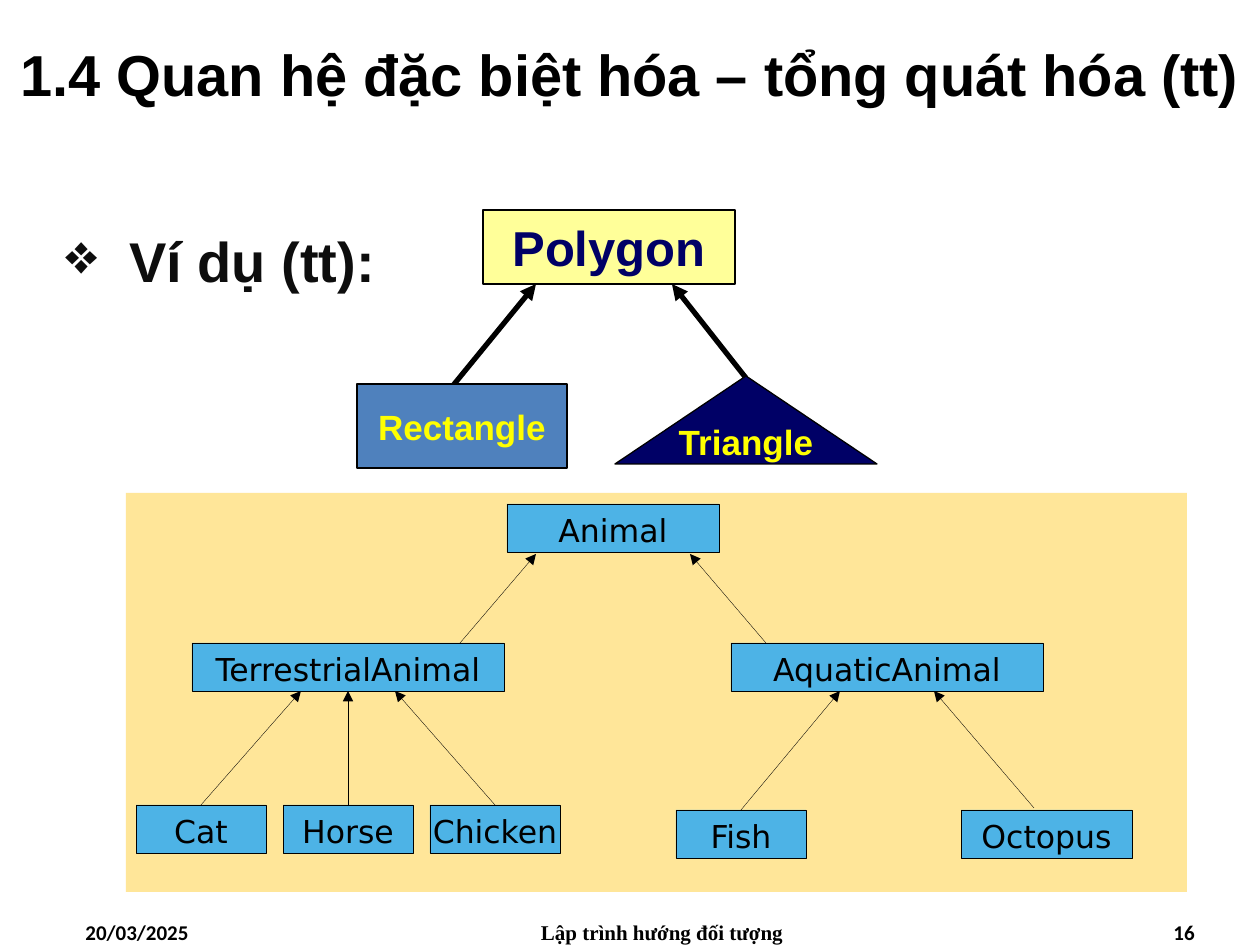
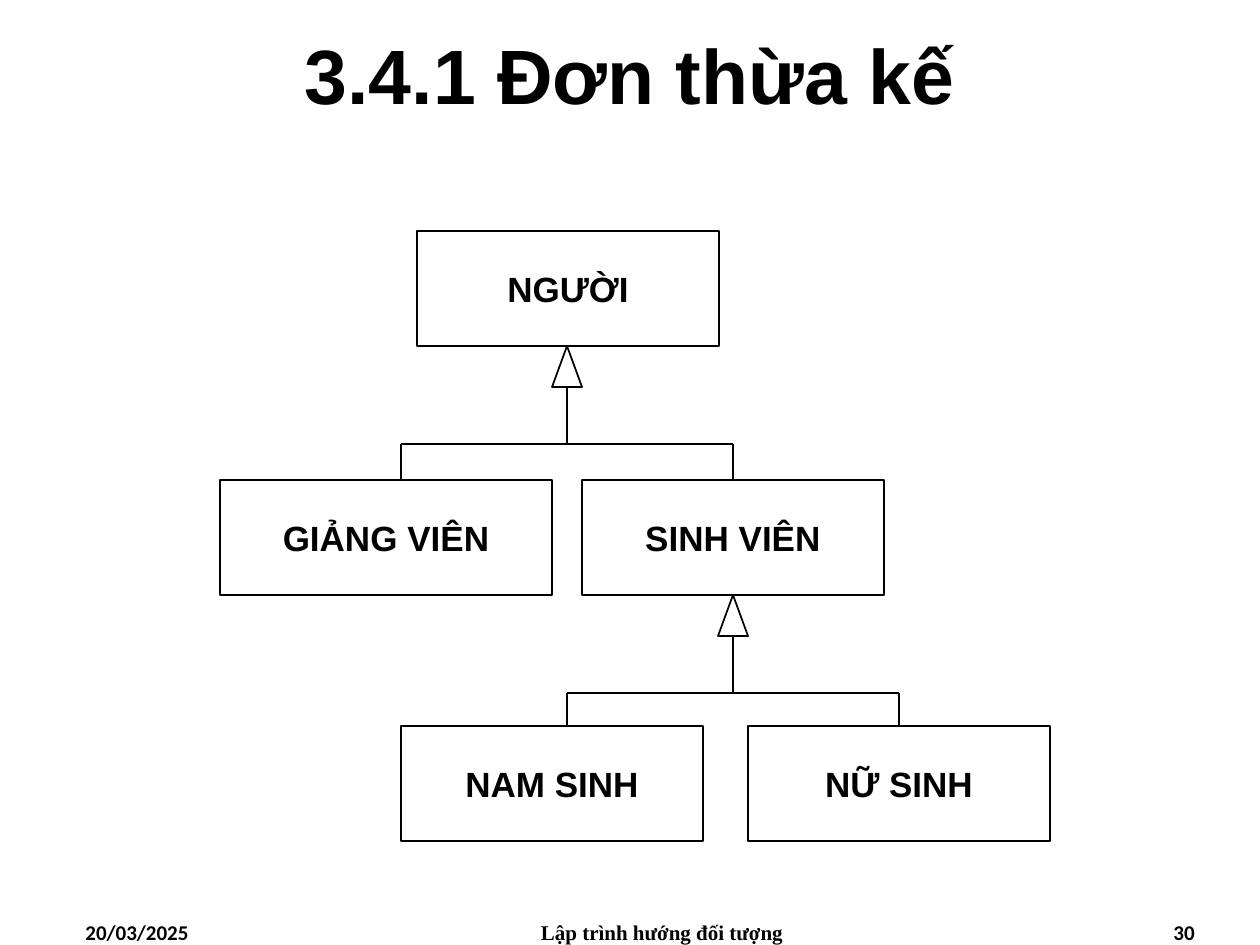
from dataclasses import dataclass

import pptx
import pptx.dml.color
import pptx.enum.shapes
import pptx.enum.text
import pptx.oxml.ns
import pptx.util
from lxml import etree

EMU_PER_PX = 914400 / 126
RECT = pptx.enum.shapes.MSO_SHAPE.RECTANGLE
TRIANGLE = pptx.enum.shapes.MSO_SHAPE.ISOSCELES_TRIANGLE
ANCHOR = pptx.enum.text.MSO_ANCHOR
ALIGN = pptx.enum.text.PP_ALIGN
TOP, BOTTOM = 0, 2


@dataclass(frozen=True)
class Theme:
    # Colours
    black: str = "000000"
    bullet_text: str = "0D0D0D"
    navy: str = "000066"
    pale_yellow: str = "FFFF99"
    yellow: str = "FFFF00"
    steel: str = "4F81BD"
    sky: str = "4DB3E6"
    sand: str = "FFE699"
    # Fonts
    main: str = "Arial"
    tree: str = "DejaVu Sans"
    footer: str = "Calibri"
    course: str = "Times New Roman"
    # Type sizes
    title_size: int = 44
    long_title_size: int = 33
    bullet_size: int = 32
    polygon_size: int = 28
    box_size: int = 20
    tree_size: int = 18
    footer_size: int = 12
    # Line widths
    hairline: float = 0.2
    thin: float = 0.75
    medium: float = 1
    strong: float = 1.5
    thick: float = 3


def px(value):
    return pptx.util.Emu(round(value * EMU_PER_PX))


def rgb(value):
    return pptx.dml.color.RGBColor.from_string(value)


class Deck:
    def __init__(self, theme):
        self.theme = theme
        self.prs = pptx.Presentation()
        self.prs.slide_width, self.prs.slide_height = px(1260), px(945)
        self.s = None

    def slide(self, title, size, number):
        """Start a slide with its title and footer."""
        t = self.theme
        self.s = self.prs.slides.add_slide(self.prs.slide_layouts[5])
        sp = self.s.shapes.title
        sp.left, sp.top, sp.width, sp.height = map(px, (0, 0, 1260, 147))
        sp.text_frame.auto_size = pptx.enum.text.MSO_AUTO_SIZE.NONE
        sp.text_frame.vertical_anchor = ANCHOR.MIDDLE
        self.add_text(sp, title, size, t.black)
        for left, width, text, align, font in (
            (73, 294, "20/03/2025", ALIGN.LEFT, t.footer),
            (462, 400, "Lập trình hướng đối tượng", ALIGN.CENTER, t.course),
            (913, 294, str(number), ALIGN.RIGHT, t.footer),
        ):
            sp = self.textbox(left, 913, width, 32)
            self.add_text(sp, text, t.footer_size, t.black, font, align=align)

    def textbox(self, left, top, width, height):
        sp = self.s.shapes.add_textbox(*map(px, (left, top, width, height)))
        sp.text_frame.word_wrap = True
        return sp

    def add_text(self, sp, text, size, color, font=None, bold=True,
                 align=ALIGN.CENTER):
        p = sp.text_frame.paragraphs[0]
        p.alignment = align
        r = p.add_run()
        r.text = text
        r.font.size, r.font.bold = pptx.util.Pt(size), bold
        r.font.name = font or self.theme.main
        r.font.color.rgb = rgb(color)
        return p

    def bullet(self, text, left, top, width, height):
        t = self.theme
        sp = self.textbox(left, top, width, height)
        p = self.add_text(sp, text, t.bullet_size, t.bullet_text, align=ALIGN.JUSTIFY)
        p.line_spacing = 1.3
        p.space_after = pptx.util.Pt(3)
        pPr = p._p.get_or_add_pPr()
        pPr.set("marL", str(px(64)))
        pPr.set("indent", str(px(-64)))
        etree.SubElement(pPr, pptx.oxml.ns.qn("a:buChar")).set("char", "❖")

    def shape(self, kind, left, top, width, height, fill=None, line=None):
        sp = self.s.shapes.add_shape(kind, *map(px, (left, top, width, height)))
        sp.shadow.inherit = False
        if fill:
            sp.fill.solid()
            sp.fill.fore_color.rgb = rgb(fill)
        else:
            sp.fill.background()
        if line:
            sp.line.width = pptx.util.Pt(line)
            sp.line.color.rgb = rgb(self.theme.black)
        else:
            sp.line.fill.background()
        return sp

    def box(self, text, left, top, width, height, fill=None, color=None,
            size=None, kind=RECT):
        t = self.theme
        sp = self.shape(kind, left, top, width, height, fill, t.thin)
        sp.text_frame.word_wrap = False
        sp.text_frame.vertical_anchor = ANCHOR.MIDDLE
        self.add_text(sp, text, size or t.box_size, color or t.black)
        return sp

    def tree_node(self, text, left, top, width):
        t = self.theme
        sp = self.shape(RECT, left, top, width, 48, t.sky, t.hairline)
        tf = sp.text_frame
        tf.margin_left = tf.margin_right = tf.margin_bottom = 0
        tf.margin_top = px(14)
        tf.vertical_anchor = ANCHOR.TOP
        p = self.add_text(sp, text, t.tree_size, t.black, t.tree, bold=False)
        p.line_spacing = 0.8
        return sp

    def line(self, start, end, width, arrow=False, start_box=None, end_box=None):
        """Join two points; a start box is left at its top, an end is (box, side)."""
        c = self.s.shapes.add_connector(
            pptx.enum.shapes.MSO_CONNECTOR.STRAIGHT, *map(px, (*start, *end)))
        if start_box:
            c.begin_connect(start_box, TOP)
        if end_box:
            c.end_connect(*end_box)
        c.line.width = pptx.util.Pt(width)
        c.line.color.rgb = rgb(self.theme.black)
        qn = pptx.oxml.ns.qn
        spPr = c._element.spPr
        if arrow:
            ln = spPr.find(qn("a:ln"))
            etree.SubElement(ln, qn("a:tailEnd")).set("type", "triangle")
        etree.SubElement(spPr, qn("a:effectLst"))

    def inheritance(self, x, top, child_top, right_child):
        """Hollow arrow under a parent, with a bar and two drops."""
        t = self.theme
        bar, reach = top + 98, 166
        self.line((x, bar), (x, top + 41), t.strong)
        self.shape(TRIANGLE, x - 15, top, 30, 41, line=t.medium)
        self.line((x - reach, bar), (x + reach, bar), t.thin)
        for drop_x, joint in ((x - reach, None), (x + reach, (right_child, TOP))):
            self.line((drop_x, bar), (drop_x, child_top), t.thin, end_box=joint)


def generalization_slide(deck):
    t = deck.theme
    deck.slide("1.4 Quan hệ đặc biệt hóa – tổng quát hóa (tt)", t.long_title_size, 16)
    deck.bullet("Ví dụ (tt):", 53, 200, 1155, 105)

    # Polygon example
    deck.box("Polygon", 483, 210, 252, 74, t.pale_yellow, t.navy, t.polygon_size)
    deck.line((451, 388), (536, 284), t.thick, arrow=True)
    deck.line((746, 378), (672, 284), t.thick, arrow=True)
    deck.box("Rectangle", 357, 384, 210, 84, t.steel, t.yellow)
    deck.box("Triangle", 615, 376, 262, 88, t.navy, t.yellow, kind=TRIANGLE)

    # Animal tree
    deck.shape(RECT, 126, 493, 1061, 399, t.sand)
    deck.tree_node("Animal", 507, 504, 212)
    terrestrial = deck.tree_node("TerrestrialAnimal", 192, 643, 312)
    deck.tree_node("AquaticAnimal", 731, 643, 312)
    cat, horse, chicken = [
        deck.tree_node(name, 136 + 147 * i, 805, 130)
        for i, name in enumerate(("Cat", "Horse", "Chicken"))]
    fish = deck.tree_node("Fish", 676, 810, 130)
    deck.tree_node("Octopus", 961, 810, 171)

    # Arrows from each kind up to its parent
    for start_x, end_x in ((460, 536), (766, 690)):
        deck.line((start_x, 643), (end_x, 554), t.hairline, arrow=True)
    for start_x, end_x, child, parent in (
        (201, 301, cat, None),
        (348, 348, horse, (terrestrial, BOTTOM)),
        (495, 395, chicken, None),
        (740, 840, fish, None),
        (1034, 934, None, None),
    ):
        deck.line((start_x, 808), (end_x, 691), t.hairline, True, child, parent)


def single_inheritance_slide(deck):
    deck.slide("3.4.1 Đơn thừa kế", deck.theme.title_size, 30)

    # Class boxes
    deck.box("NGƯỜI", 417, 231, 302, 115)
    deck.box("GIẢNG VIÊN", 220, 480, 332, 115)
    student = deck.box("SINH VIÊN", 582, 480, 302, 115)
    deck.box("NAM SINH", 401, 726, 302, 115)
    female = deck.box("NỮ SINH", 748, 726, 302, 115)

    # Inheritance brackets
    deck.inheritance(567, 346, 480, student)
    deck.inheritance(733, 595, 726, female)


def main():
    deck = Deck(Theme())
    generalization_slide(deck)
    single_inheritance_slide(deck)
    deck.prs.save("out.pptx")


if __name__ == "__main__":
    main()
